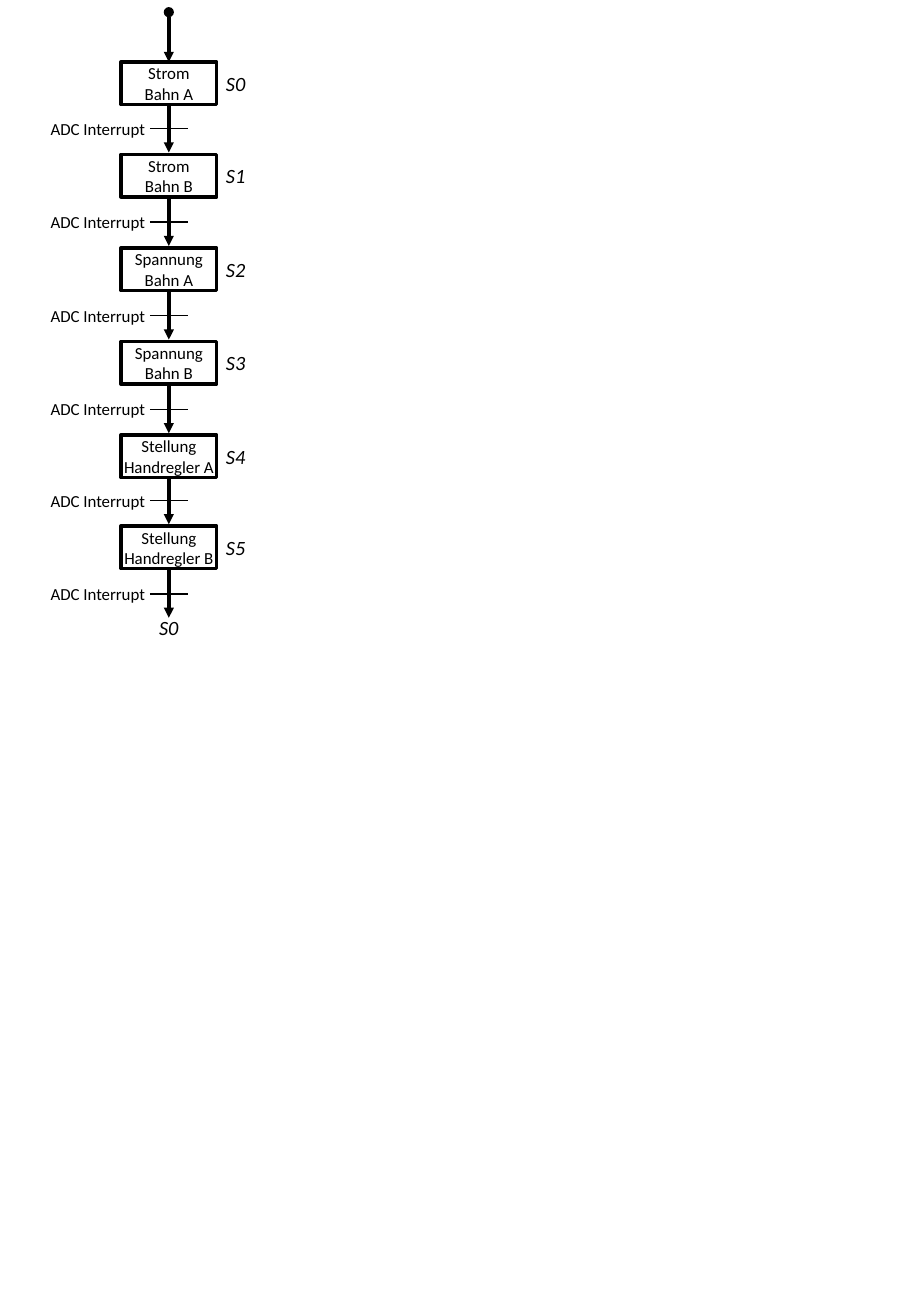
import pptx
import pptx.util
import pptx.dml.color
import pptx.enum.shapes
import pptx.enum.text
import pptx.oxml.ns
from lxml import etree

COLOURS = {"ink": "000000", "paper": "FFFFFF"}
FONT = "Calibri"
STATES = [
    (5.1, "Strom\vBahn A"),
    (12.7, "Strom\vBahn B"),
    (20.4, "Spannung\vBahn A"),
    (28.1, "Spannung\vBahn B"),
    (35.8, "Stellung\vHandregler A"),
    (43.3, "Stellung\vHandregler B"),
]
END_ROW = 51
AXIS = 13.9
BOX_WIDTH, BOX_HEIGHT = 7.9, 3.5
LABEL_WIDTH = 11

deck = pptx.Presentation()
deck.slide_width = pptx.util.Inches(7.5)
deck.slide_height = pptx.util.Inches(10.83)
COLUMN = deck.slide_width / 75
ROW = deck.slide_height / 108.3


def colour(name):
    return pptx.dml.color.RGBColor.from_string(COLOURS[name])


def grid(left, top, width, height):
    return [round(left * COLUMN), round(top * ROW),
            round(width * COLUMN), round(height * ROW)]


def write(shape, text, size, italic=False, wrap=False):
    frame = shape.text_frame
    frame.text = text
    frame.word_wrap = wrap
    frame.vertical_anchor = pptx.enum.text.MSO_ANCHOR.MIDDLE
    para = frame.paragraphs[0]
    para.alignment = pptx.enum.text.PP_ALIGN.CENTER
    for span in para.runs:
        span.font.name = FONT
        span.font.size = pptx.util.Pt(size)
        span.font.italic = italic
        span.font.color.rgb = colour("ink")


def add_label(page, box, text, size, italic=False):
    write(page.shapes.add_textbox(*grid(*box)), text, size, italic, wrap=True)


def add_line(page, start, end, weight, **arrowheads):
    line = page.shapes.add_connector(
        pptx.enum.shapes.MSO_CONNECTOR.STRAIGHT,
        round(start[0] * COLUMN), round(start[1] * ROW),
        round(end[0] * COLUMN), round(end[1] * ROW))
    line.line.color.rgb = colour("ink")
    line.line.width = pptx.util.Pt(weight)
    outline = line.line._get_or_add_ln()
    for tag, kind in arrowheads.items():
        etree.SubElement(outline, pptx.oxml.ns.qn("a:" + tag), type=kind)
    etree.SubElement(line._element.spPr, pptx.oxml.ns.qn("a:effectLst"))


def add_state(page, box, text, name):
    left, top, width, height = box
    state = page.shapes.add_shape(
        pptx.enum.shapes.MSO_SHAPE.RECTANGLE, *grid(*box))
    state.shadow.inherit = False
    state.fill.solid()
    state.fill.fore_color.rgb = colour("paper")
    state.line.color.rgb = colour("ink")
    state.line.width = pptx.util.Pt(2)
    write(state, text, 10)
    add_label(page, (left + width / 2, top + 0.25, LABEL_WIDTH, 3),
              name, 12, italic=True)


def add_transition(page, box):
    left, top, width, height = box
    axis, middle = left + width / 2, top + height / 2
    add_line(page, (axis, top), (axis, top + height), 2, tailEnd="triangle")
    add_line(page, (left, middle), (left + width, middle), 0.75)
    add_label(page, (left - 9.8, middle - 1.35, LABEL_WIDTH, 2.7),
              "ADC Interrupt", 10)


page = deck.slides.add_slide(deck.slide_layouts[6])
add_line(page, (AXIS, 1), (AXIS, STATES[0][0]), 2,
         headEnd="oval", tailEnd="triangle")
next_rows = [top for top, text in STATES[1:]] + [END_ROW]
for number, ((top, text), next_row) in enumerate(zip(STATES, next_rows)):
    add_state(page, (AXIS - BOX_WIDTH / 2, top, BOX_WIDTH, BOX_HEIGHT),
              text, f"S{number}")
    add_transition(page, (AXIS - 1.55, next_row - 4.1, 3.1, 3.95))
add_label(page, (AXIS - LABEL_WIDTH / 2, END_ROW - 0.9, LABEL_WIDTH, 3),
          "S0", 12, italic=True)

deck.save("out.pptx")
